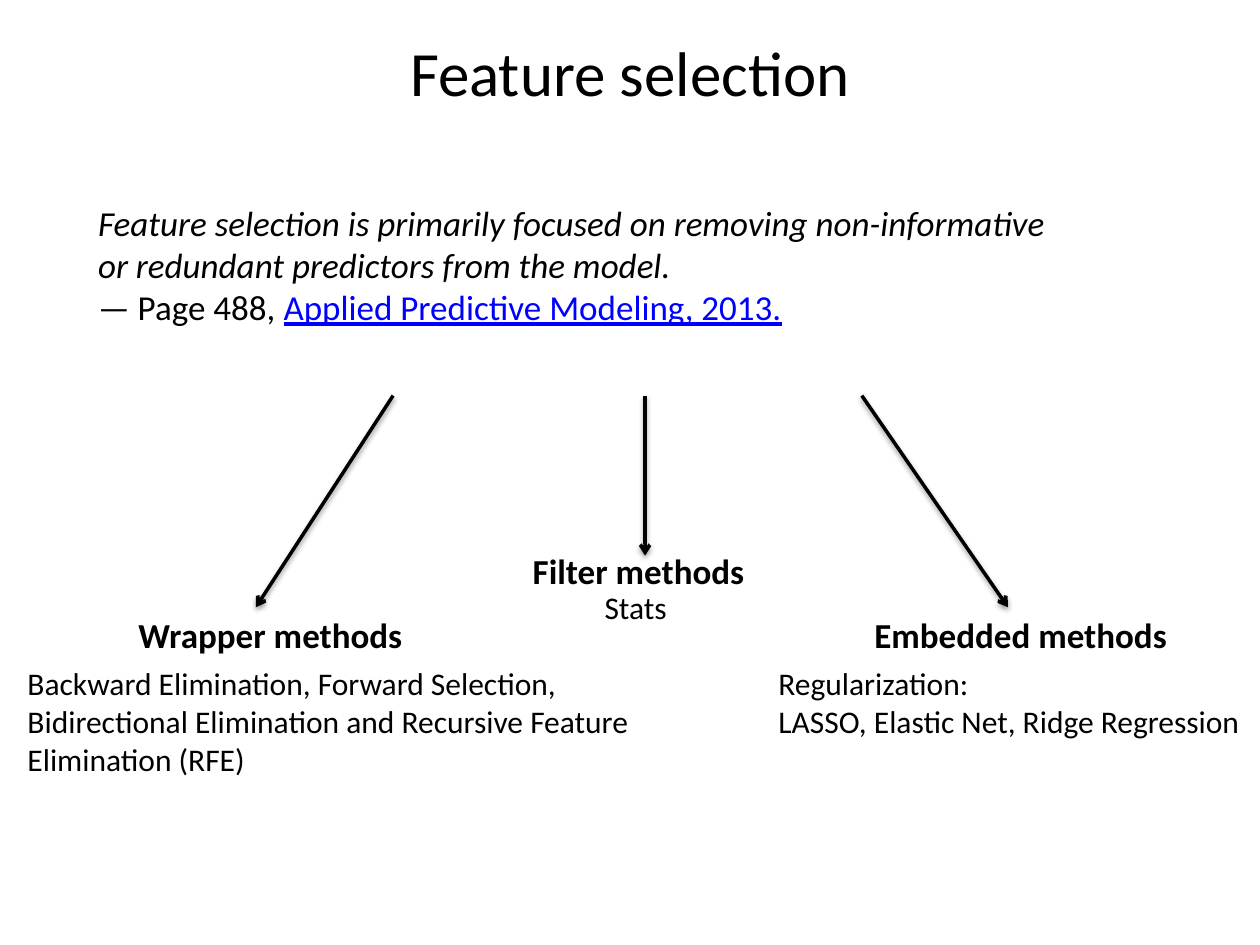
from lxml.etree import SubElement
from pptx import Presentation
from pptx.dml.color import RGBColor
from pptx.enum.shapes import MSO_CONNECTOR as Connector
from pptx.enum.text import MSO_ANCHOR as Anchor, MSO_AUTO_SIZE as AutoSize, PP_ALIGN as Align
from pptx.oxml.ns import qn
from pptx.util import Inches, Pt


def color(value):
    return RGBColor.from_string(value)


class SlideBuilder:
    font_name = "Calibri"
    ink = "000000"
    link = "0000FF"

    def __init__(self, page):
        self.page = page

    def style(self, font, size, bold=False, italic=False):
        font.name = self.font_name
        font.size = Pt(size)
        font.bold = bold
        font.italic = italic
        font.color.rgb = color(self.ink)

    def title(self, text, left, top, width, height):
        box = self.page.shapes.title
        box.left, box.top = Inches(left), Inches(top)
        box.width, box.height = Inches(width), Inches(height)
        box.text_frame.text = text
        box.text_frame.vertical_anchor = Anchor.MIDDLE
        para = box.text_frame.paragraphs[0]
        para.alignment = Align.CENTER
        self.style(para.font, 36)

    def text(self, lines, left, top, width, height, size=18, bold=False, wrap=False):
        box = self.page.shapes.add_textbox(
            Inches(left), Inches(top), Inches(width), Inches(height))
        frame = box.text_frame
        frame.text = "\n".join(lines)
        frame.word_wrap = wrap
        frame.auto_size = AutoSize.SHAPE_TO_FIT_TEXT
        for para in frame.paragraphs:
            self.style(para.font, size, bold)
        return frame

    def arrow(self, start, end):
        line = self.page.shapes.add_connector(
            Connector.STRAIGHT, *(Inches(value) for value in start + end))
        line.line.color.rgb = color(self.ink)
        line.line.width = Pt(2)
        SubElement(line.line._get_or_add_ln(), qn("a:tailEnd"), type="arrow")
        # Soft shadow straight below the line
        effects = SubElement(line._element.spPr, qn("a:effectLst"))
        shadow = SubElement(effects, qn("a:outerShdw"), blurRad=str(Pt(3.1)),
                            dist=str(Pt(1.6)), dir="5400000", rotWithShape="0")
        tone = SubElement(shadow, qn("a:srgbClr"), val=self.ink)
        SubElement(tone, qn("a:alpha"), val="38000")


def main():
    deck = Presentation()
    deck.slide_width, deck.slide_height = Inches(10), Inches(7.5)
    builder = SlideBuilder(deck.slides.add_slide(deck.slide_layouts[5]))
    builder.title("Feature selection", 0.5, 0.14, 9, 0.85)

    # Quotation and its reference
    quote = builder.text(
        ["Feature selection is primarily focused on removing non-informative",
         "or redundant predictors from the model.",
         "— Page 488, "],
        0.68, 1.55, 8.89, 1.11, size=20, wrap=True)
    for para in quote.paragraphs[:2]:
        para.font.italic = True
    reference = quote.paragraphs[2].add_run()
    reference.text = "Applied Predictive Modeling, 2013."
    reference.font.underline = True
    reference.font.color.rgb = color(builder.link)

    # Details of each method
    builder.text(["Backward Elimination, Forward Selection, Bidirectional Elimination "
                  "and Recursive Feature Elimination (RFE)"],
                 0.12, 5.22, 5, 1.01, wrap=True)
    builder.text(["Regularization:", "LASSO, Elastic Net, Ridge Regression"],
                 6.08, 5.22, 3.92, 0.71)
    builder.text(["Stats"], 4.7, 4.62, 0.7, 0.4)

    # Method names
    for name, left, top, width in [("Wrapper methods", 1, 4.82, 2.33),
                                   ("Filter methods", 4.13, 4.31, 1.9),
                                   ("Embedded methods", 6.84, 4.82, 2.55)]:
        builder.text([name], left, top, width, 0.44, size=20, bold=True)

    # Arrows from the quotation to the methods
    for start_x, end_x, end_y in [(3.12, 2.03, 4.82), (5.12, 5.12, 4.41), (6.84, 8, 4.82)]:
        builder.arrow((start_x, 3.14), (end_x, end_y))

    deck.save("out.pptx")


if __name__ == "__main__":
    main()
